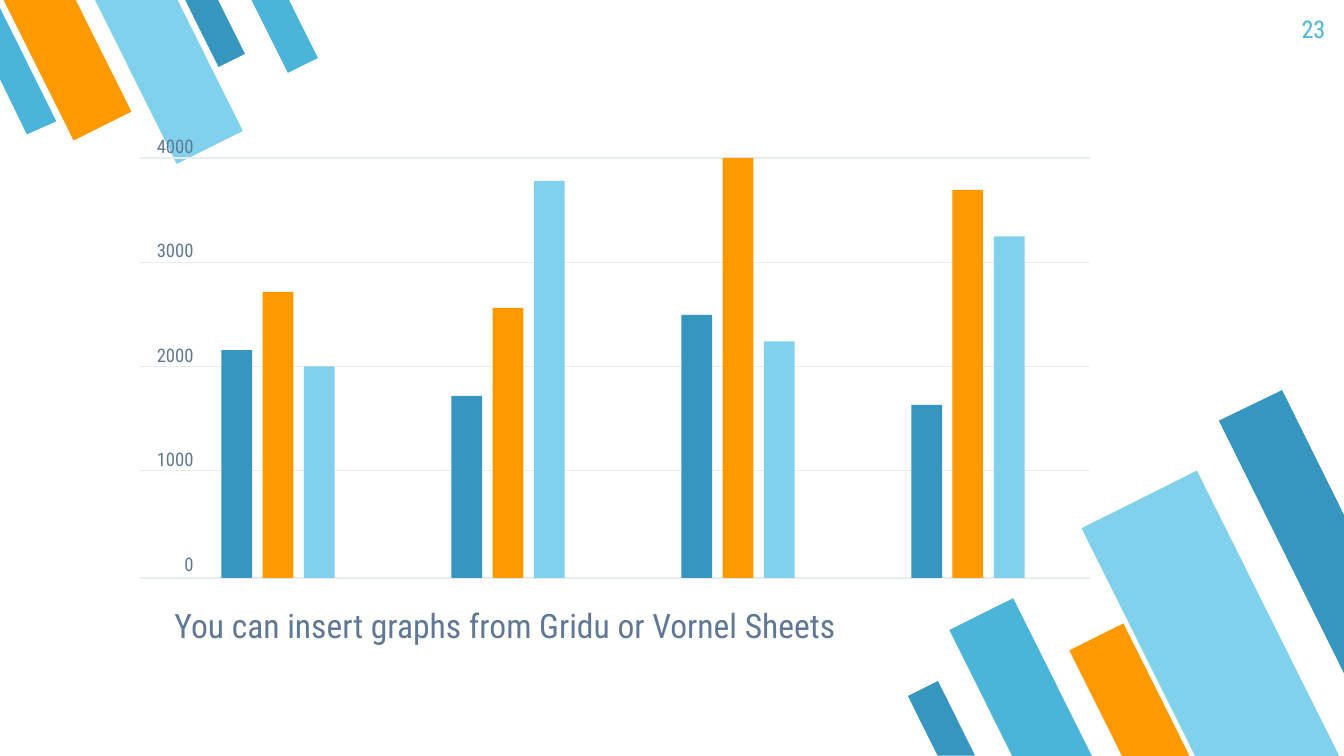
import pptx
import pptx.dml.color
import pptx.enum.shapes
import pptx.enum.text
import pptx.oxml
import pptx.oxml.ns
import pptx.util

Pt = pptx.util.Pt
RGBColor = pptx.dml.color.RGBColor
MSO_SHAPE = pptx.enum.shapes.MSO_SHAPE
PP_ALIGN = pptx.enum.text.PP_ALIGN
MSO_ANCHOR = pptx.enum.text.MSO_ANCHOR

DARK_BLUE = RGBColor(0x37, 0x96, 0xBF)
BLUE = RGBColor(0x4B, 0xB5, 0xD9)
LIGHT_BLUE = RGBColor(0x81, 0xD1, 0xEC)
ORANGE = RGBColor(0xFF, 0x99, 0x00)
SLATE = RGBColor(0x60, 0x78, 0x96)
GRID_GRAY = RGBColor(0xE8, 0xED, 0xF1)
FONT = "Roboto Condensed"

presentation = pptx.Presentation()
presentation.slide_width = Pt(720)
presentation.slide_height = Pt(405)
slide = presentation.slides.add_slide(presentation.slide_layouts[6])


def paint(shape, color):
    shape.fill.solid()
    shape.fill.fore_color.rgb = color
    shape.line.fill.background()
    shape.shadow.inherit = False


def add_text(text, left, top, width, height, size, color, align, inset):
    text_box = slide.shapes.add_textbox(Pt(left), Pt(top), Pt(width), Pt(height))
    text_frame = text_box.text_frame
    text_frame.word_wrap = True
    text_frame.margin_left = text_frame.margin_right = Pt(inset)
    text_frame.margin_top = text_frame.margin_bottom = Pt(inset)
    text_frame.text = text
    for paragraph in text_frame.paragraphs:
        paragraph.alignment = align
        for run in paragraph.runs:
            run.font.name = FONT
            run.font.size = Pt(size)
            run.font.color.rgb = color
    return text_frame


bottom_stripes = [
    (527.8, 324, 38.2, 95, BLUE),
    (614.2, 258.5, 69.1, 172.1, LIGHT_BLUE),
    (589, 337, 32.4, 79.9, ORANGE),
    (495.4, 366.5, 18, 44.6, DARK_BLUE),
]
top_stripes = [
    (107.3, -5.8, 15.8, 40.3, DARK_BLUE),
    (18.7, -13, 34.6, 85, ORANGE),
    (70.6, -14.4, 39.6, 98.6, LIGHT_BLUE),
    (143.3, -7.2, 18, 44.6, BLUE),
]
bottom_edge_stripe = [(686.9, 209), (653, 225.4), (720, 360.7), (720, 275.8)]
top_edge_stripe = [(14.4, 72), (30.2, 65), (0, 4.3), (0, 42.5)]

for stripes, rotation, edge_stripe, edge_color in [
    (bottom_stripes, 153.5, bottom_edge_stripe, DARK_BLUE),
    (top_stripes, 333.5, top_edge_stripe, BLUE),
]:
    for left, top, width, height, color in stripes:
        stripe = slide.shapes.add_shape(
            MSO_SHAPE.FLOWCHART_MANUAL_INPUT, Pt(left), Pt(top), Pt(width), Pt(height)
        )
        stripe.rotation = rotation
        stripe.element.spPr.get_or_add_xfrm().set("flipH", "1")
        paint(stripe, color)
    points = [(Pt(x), Pt(y)) for x, y in edge_stripe]
    builder = slide.shapes.build_freeform(*points[0])
    builder.add_line_segments(points[1:], close=True)
    paint(builder.convert_to_shape(), edge_color)

caption = add_text(
    "You can insert graphs from Gridu or Vornel Sheets",
    86.4, 316.8, 547.2, 41, 18, SLATE, PP_ALIGN.LEFT, 7.2,
)
caption.paragraphs[0].space_before = Pt(3.6)

slide_number = add_text("23", 673.9, 0, 43.2, 31, 13, BLUE, PP_ALIGN.RIGHT, 7.2)
slide_number.vertical_anchor = MSO_ANCHOR.MIDDLE

BASELINE = 309.6
PLOT_HEIGHT = 225
AXIS_MAXIMUM = 4000
CHART_LEFT = 74.9
CHART_RIGHT = 583.9

for y in [84.6, 140.5, 196.3, 252.1, BASELINE]:
    gridline = slide.shapes.add_connector(
        pptx.enum.shapes.MSO_CONNECTOR.STRAIGHT,
        Pt(CHART_LEFT), Pt(y), Pt(CHART_RIGHT), Pt(y),
    )
    gridline.line.color.rgb = GRID_GRAY
    gridline.line.width = Pt(0.75)
    gridline.element.spPr.append(
        pptx.oxml.parse_xml("<a:effectLst %s/>" % pptx.oxml.ns.nsdecls("a"))
    )

axis_labels = add_text(
    "\n".join(str(value) for value in range(AXIS_MAXIMUM, -1, -1000)),
    CHART_LEFT, 72, 28.8, 238.3, 10, SLATE, PP_ALIGN.RIGHT, 0,
)
for paragraph in axis_labels.paragraphs[1:]:
    paragraph.space_before = Pt(44)
axis_labels.paragraphs[-1].space_after = Pt(44)

bar_groups = [
    (2170, 2724, 2014),
    (1733, 2571, 3781),
    (2505, 4000, 2252),
    (1648, 3696, 3253),
]
for group, values in enumerate(bar_groups):
    for series, (value, color) in enumerate(zip(values, [DARK_BLUE, ORANGE, LIGHT_BLUE])):
        height = value / AXIS_MAXIMUM * PLOT_HEIGHT
        bar = slide.shapes.add_shape(
            MSO_SHAPE.RECTANGLE,
            Pt(118.6 + group * 123.2 + series * 22.1), Pt(BASELINE - height),
            Pt(16.5), Pt(height),
        )
        paint(bar, color)

presentation.save("out.pptx")
